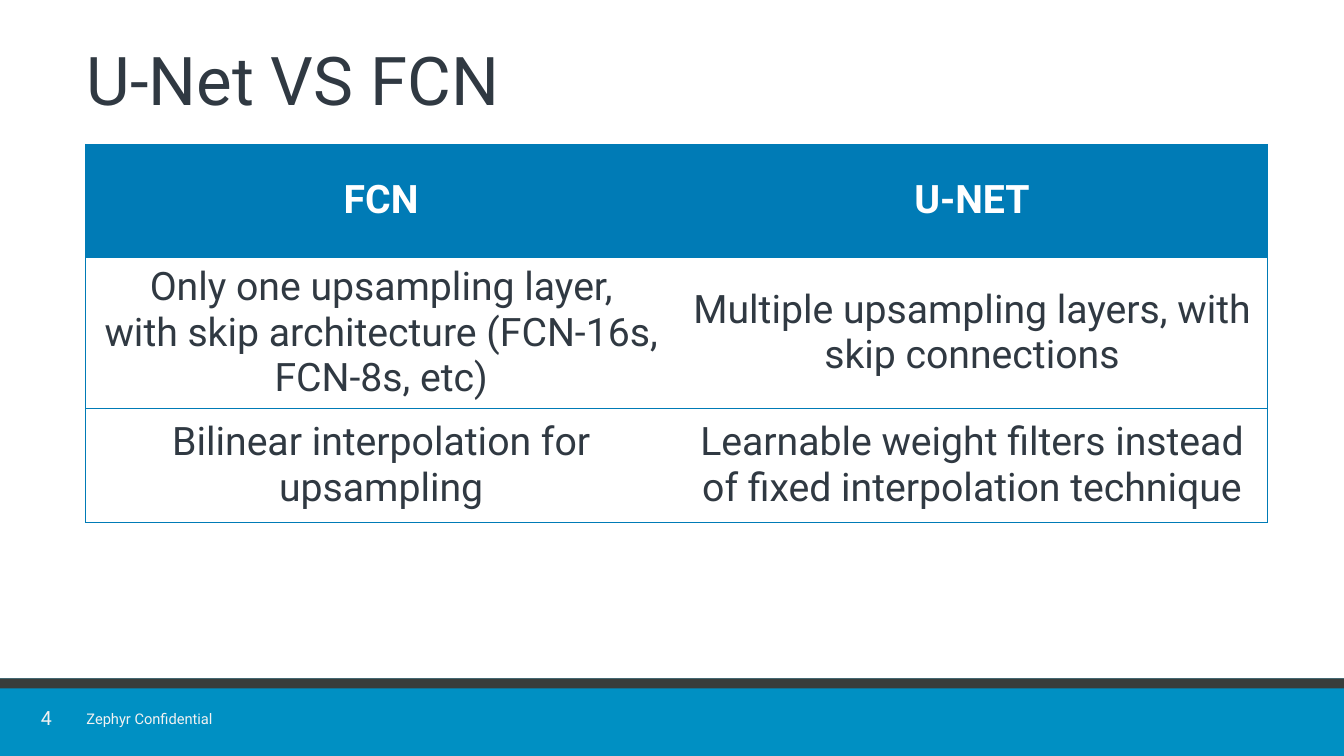
from lxml import etree
from pptx import Presentation
from pptx.dml.color import RGBColor
from pptx.enum.shapes import MSO_SHAPE
from pptx.enum.text import MSO_ANCHOR, MSO_AUTO_SIZE, PP_ALIGN
from pptx.oxml.ns import qn
from pptx.util import Inches, Pt

RECTANGLE = MSO_SHAPE.RECTANGLE
MIDDLE = MSO_ANCHOR.MIDDLE
CENTER = PP_ALIGN.CENTER
LEFT = PP_ALIGN.LEFT

FONT = "Roboto"
BLUE = RGBColor(0x00, 0x7B, 0xB6)
FOOTER_BLUE = RGBColor(0x00, 0x90, 0xC3)
FOOTER_STRIPE = RGBColor(0x38, 0x3D, 0x3B)
FOOTER_TEXT = RGBColor(0xF2, 0xF2, 0xF2)
INK = RGBColor(0x30, 0x39, 0x42)
WHITE = RGBColor(0xFF, 0xFF, 0xFF)

PAGE_WIDTH, PAGE_HEIGHT = 13.33, 7.5
ROW_HEIGHTS = [1.12, 1.47, 1.13]
# Each cell is a list of paragraphs.
COMPARISON = [
    [["FCN"], ["U-NET"]],
    [["Only one upsampling layer,",
      "with skip architecture (FCN-16s, FCN-8s, etc)"],
     ["Multiple upsampling layers, with skip connections"]],
    [["Bilinear interpolation for upsampling"],
     ["Learnable weight filters instead of fixed interpolation technique"]],
]


def write(frame, lines, size, color, align, bold=False, spacing=None):
    """Put each line in its own paragraph of the text frame."""
    for index, line in enumerate(lines):
        para = frame.add_paragraph() if index else frame.paragraphs[0]
        para.alignment = align
        if spacing:
            para.line_spacing = spacing
        span = para.add_run()
        span.text = line
        span.font.name = FONT
        span.font.size = Pt(size)
        span.font.bold = bold
        span.font.color.rgb = color


def add_band(page, left, top, width, height, color):
    band = page.shapes.add_shape(
        RECTANGLE, Inches(left), Inches(top), Inches(width), Inches(height))
    band.shadow.inherit = False
    band.fill.solid()
    band.fill.fore_color.rgb = color
    band.line.fill.background()


def add_footer(page, left, top, width, height):
    add_band(page, left, top, width, height, FOOTER_BLUE)
    add_band(page, left, top, width, 0.1, FOOTER_STRIPE)

    number = page.shapes.add_textbox(
        Inches(left + 0.33), Inches(top + 0.29), Inches(0.26), Inches(0.23))
    frame = number.text_frame
    frame.word_wrap = True
    frame.vertical_anchor = MIDDLE
    frame.margin_left = frame.margin_right = 0
    frame.margin_top = frame.margin_bottom = 0
    write(frame, ["4"], 14, FOOTER_TEXT, CENTER, spacing=0.9)

    notice = page.shapes.add_textbox(
        Inches(left + 0.76), Inches(top + 0.26), Inches(1.6), Inches(0.28))
    notice.text_frame.word_wrap = False
    notice.text_frame.auto_size = MSO_AUTO_SIZE.SHAPE_TO_FIT_TEXT
    write(notice.text_frame, ["Zephyr Confidential"], 10.5, FOOTER_TEXT, LEFT)


def place_title(page, left, top, width, height):
    title = page.shapes.title
    title.left, title.top = Inches(left), Inches(top)
    title.width, title.height = Inches(width), Inches(height)
    title.text_frame.word_wrap = True
    title.text_frame.auto_size = MSO_AUTO_SIZE.NONE
    title.text_frame.vertical_anchor = MIDDLE
    write(title.text_frame, ["U-Net VS FCN"], 48, INK, LEFT, spacing=0.8)


def set_borders(cell, visible):
    """Draw the sides named in visible (of L, R, T, B) and clear the others."""
    properties = cell._tc.get_or_add_tcPr()
    for side in "LRTB":
        line = etree.SubElement(properties, qn(f"a:ln{side}"), w=str(Pt(0.5)))
        if side in visible:
            fill = etree.SubElement(line, qn("a:solidFill"))
            etree.SubElement(fill, qn("a:srgbClr"), val=str(BLUE))
        else:
            etree.SubElement(line, qn("a:noFill"))


def add_comparison(page, left, top, width):
    columns = len(COMPARISON[0])
    table = page.shapes.add_table(
        len(COMPARISON), columns, Inches(left), Inches(top),
        Inches(width), Inches(sum(ROW_HEIGHTS))).table
    table.first_row = table.horz_banding = False
    for r, (height, row) in enumerate(zip(ROW_HEIGHTS, COMPARISON)):
        table.rows[r].height = Inches(height)
        is_header = r == 0
        for c, lines in enumerate(row):
            cell = table.cell(r, c)
            set_borders(cell, "TB" + ("L" if c == 0 else "")
                        + ("R" if c == columns - 1 else ""))
            cell.fill.solid()
            cell.fill.fore_color.rgb = BLUE if is_header else WHITE
            cell.vertical_anchor = MIDDLE
            write(cell.text_frame, lines, 28, WHITE if is_header else INK,
                  CENTER, bold=is_header)


def main():
    deck = Presentation()
    deck.slide_width = Inches(PAGE_WIDTH)
    deck.slide_height = Inches(PAGE_HEIGHT)
    page = deck.slides.add_slide(deck.slide_layouts.get_by_name("Title Only"))
    add_footer(page, 0, 6.73, PAGE_WIDTH, 0.77)
    place_title(page, 0.76, 0.32, 11.91, 1.08)
    add_comparison(page, 0.85, 1.43, 11.72)
    deck.save("out.pptx")


if __name__ == "__main__":
    main()
